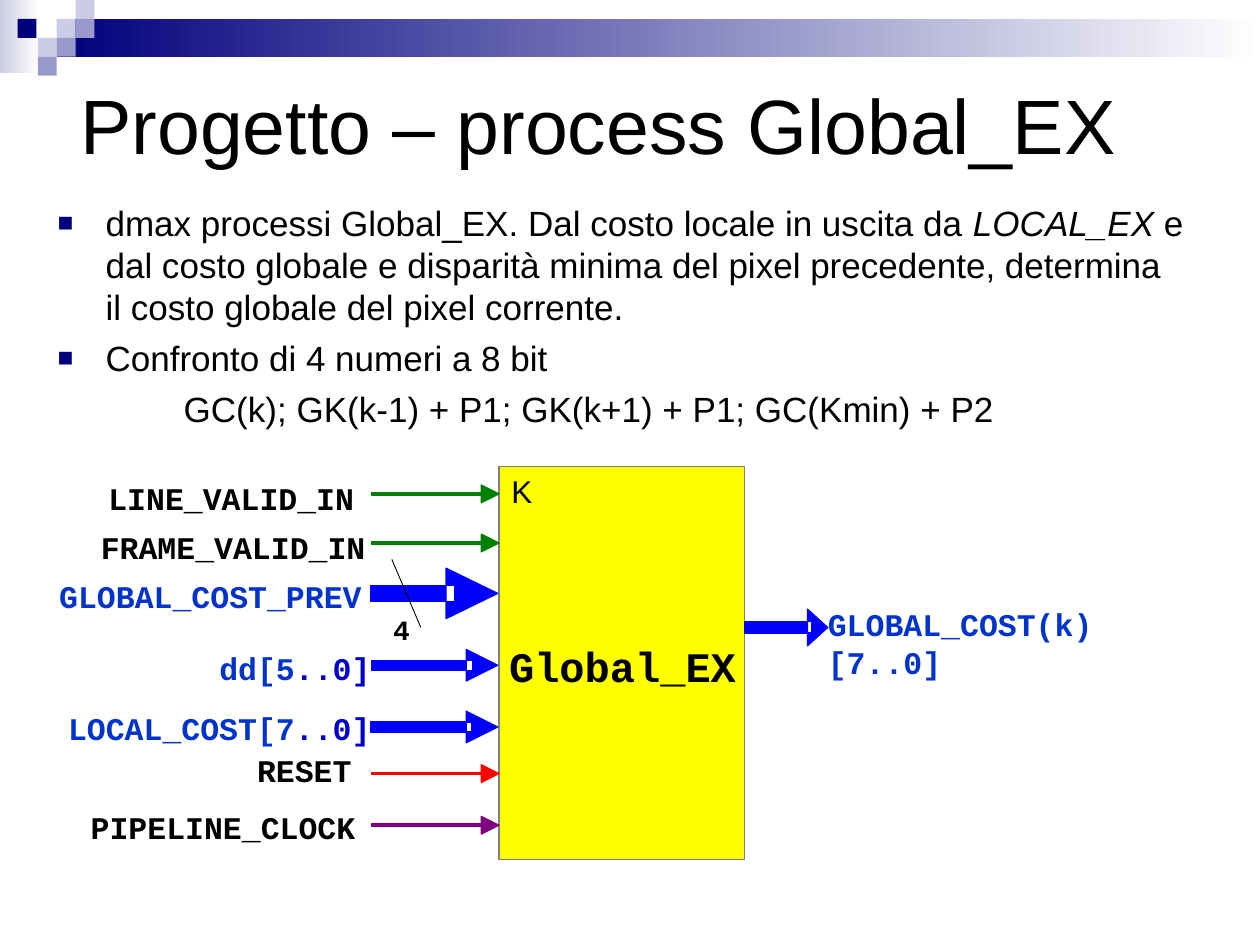
import pptx
import pptx.util
import pptx.dml.color
import pptx.enum.shapes
import pptx.enum.text
import lxml.etree

Inches, Pt = pptx.util.Inches, pptx.util.Pt
Color = pptx.dml.color.RGBColor.from_string
RECTANGLE = pptx.enum.shapes.MSO_SHAPE.RECTANGLE
Anchor = pptx.enum.text.MSO_ANCHOR

theme = {
    "sans": "Arial", "mono": "Courier New",
    "title": 44, "body": 20, "label": 18, "block": 24, "count": 16,
    "black": "000000", "navy": "00007D", "violet": "9999CC", "lilac": "CCCCE6",
    "white": "FFFFFF", "yellow": "FFFF00", "gray": "808080", "blue": "0000FF",
    "green": "008000", "red": "FF0000", "purple": "800080",
    "name": "0033CC", "range": "0000CC",
}

deck = pptx.Presentation()
deck.slide_width, deck.slide_height = Inches(10), Inches(7.5)
page = deck.slides.add_slide(deck.slide_layouts[6])


def add_text(para, text, size, font, color="black", bold=False, italic=False):
    span = para.add_run()
    span.text = text
    span.font.size = Pt(theme[size])
    span.font.name = theme[font]
    span.font.color.rgb = Color(theme[color])
    span.font.bold, span.font.italic = bold, italic


def add_arrow(left, middle, tip, shaft, head_length, head_height, overlap, color):
    """Shaft and triangular head as two contours of one outline."""
    neck = tip - head_length
    top, bottom = middle - shaft / 2, middle + shaft / 2
    shaft_end = neck + overlap
    contours = [
        [(left, top), (shaft_end, top), (shaft_end, bottom), (left, bottom)],
        [(neck, middle - head_height / 2), (tip, middle), (neck, middle + head_height / 2)],
    ]
    points = [[(Inches(x), Inches(y)) for x, y in contour] for contour in contours]
    builder = page.shapes.build_freeform(*points[0][0])
    builder.add_line_segments(points[0][1:], close=True)
    builder.move_to(*points[1][0])
    builder.add_line_segments(points[1][1:], close=True)
    arrow = builder.convert_to_shape()
    arrow.shadow.inherit = False
    arrow.fill.solid()
    arrow.fill.fore_color.rgb = Color(theme[color])
    arrow.line.color.rgb = Color(theme[color])
    arrow.line.width = Pt(0)


# Header: two fading bands, then the mosaic of small squares
cell = 0.15
bands = [(0, 0, 0.31, 0.58, "lilac", True), (0.45, 0.15, 9.55, 0.3, "navy", True)]
squares = [(3, 1, "lilac"), (4, 0, "lilac"), (4, 1, "violet"), (2, 2, "lilac"),
           (0.93, 1, "navy"), (3, 2, "violet"), (2, 3, "violet")]
tiles = [(column * cell, row * cell, cell, cell, color, False) for column, row, color in squares]
for left, top, width, height, color, fades in bands + tiles:
    tile = page.shapes.add_shape(RECTANGLE, Inches(left), Inches(top), Inches(width), Inches(height))
    tile.shadow.inherit = False
    tile.line.fill.background()
    if fades:
        tile.fill.gradient()
        tile.fill.gradient_angle = 0
        for stop, shade in zip(tile.fill.gradient_stops, (color, "white")):
            stop.color.rgb = Color(theme[shade])
    else:
        tile.fill.solid()
        tile.fill.fore_color.rgb = Color(theme[color])

# Title
box = page.shapes.add_textbox(Inches(0.54), Inches(0.5), Inches(8.96), Inches(0.97))
box.text_frame.word_wrap = True
box.text_frame.vertical_anchor = Anchor.MIDDLE
add_text(box.text_frame.paragraphs[0], "Progetto – process Global_EX", "title", "sans")

# Body: (bulleted, [(text, italic)])
body = [
    (True, [("dmax processi Global_EX. Dal costo locale in uscita da ", False),
            ("LOCAL_EX", True),
            (" e dal costo globale e disparità minima del pixel precedente, "
             "determina il costo globale del pixel corrente.", False)]),
    (True, [("Confronto di 4 numeri a 8 bit", False)]),
    (False, [("GC(k); GK(k-1) + P1; GK(k+1) + P1; GC(Kmin) + P2", False)]),
]
box = page.shapes.add_textbox(Inches(0.36), Inches(1.55), Inches(9.14), Inches(2.05))
frame = box.text_frame
frame.word_wrap = True
for index, (bulleted, spans) in enumerate(body):
    para = frame.add_paragraph() if index else frame.paragraphs[0]
    para.space_before = Pt(5)
    for text, italic in spans:
        add_text(para, text, "body", "sans", italic=italic)
    properties = para._p.get_or_add_pPr()
    properties.set("marL", str(Inches(0.38 if bulleted else 1)))
    properties.set("indent", str(Inches(-0.38 if bulleted else 0)))
    if bulleted:
        bullet_color = lxml.etree.SubElement(properties, pptx.oxml.ns.qn("a:buClr"))
        lxml.etree.SubElement(bullet_color, pptx.oxml.ns.qn("a:srgbClr"), val=theme["navy"])
        lxml.etree.SubElement(properties, pptx.oxml.ns.qn("a:buSzPct"), val="75000")
        lxml.etree.SubElement(properties, pptx.oxml.ns.qn("a:buFont"), typeface=theme["sans"])
        lxml.etree.SubElement(properties, pptx.oxml.ns.qn("a:buChar"), char="■")

# Process block
block = page.shapes.add_shape(RECTANGLE, Inches(3.96), Inches(3.7), Inches(1.95), Inches(3.12))
block.shadow.inherit = False
block.fill.solid()
block.fill.fore_color.rgb = Color(theme["yellow"])
block.line.color.rgb = Color(theme["gray"])
block.line.width = Pt(0)
block.text_frame.vertical_anchor = Anchor.TOP
para = block.text_frame.paragraphs[0]
para.alignment = pptx.enum.text.PP_ALIGN.LEFT
add_text(para, "K", "label", "sans")

# Arrows: left, middle, tip, shaft, head length, head height, overlap, color
signals = [(3.92, "green"), (4.31, "green"), (6.14, "red"), (6.55, "purple")]
for middle, color in signals:
    add_arrow(2.95, middle, 3.96, 0.02, 0.14, 0.14, 0.01, color)
buses = [(2.94, 4.71, 3.95, 0.13, 0.41, 0.4, 0.07), (2.95, 5.28, 3.95, 0.08, 0.25, 0.25, 0.05),
         (2.94, 5.77, 3.95, 0.08, 0.25, 0.25, 0.04), (5.91, 4.98, 6.57, 0.09, 0.16, 0.29, 0.03)]
for bus in buses:
    add_arrow(*bus, "blue")

# Slash marking the bus width
slash = page.shapes.add_connector(pptx.enum.shapes.MSO_CONNECTOR.STRAIGHT,
                                  Inches(3.11), Inches(4.44), Inches(3.34), Inches(4.98))
slash.line.color.rgb = Color(theme["black"])
slash.line.width = Pt(0.5)
lxml.etree.SubElement(slash._element.spPr, pptx.oxml.ns.qn("a:effectLst"))

# Labels: left, top, width, height, size, wraps, [(text, color)]
labels = [
    (0.86, 3.8, 1.98, 0.3, "label", False, [("LINE_VALID_IN", "black")]),
    (0.8, 4.19, 2.13, 0.3, "label", False, [("FRAME_VALID_IN", "black")]),
    (0.47, 4.58, 2.43, 0.3, "label", False, [("GLOBAL_COST_PREV", "name")]),
    (3.12, 4.86, 0.15, 0.27, "count", False, [("4", "black")]),
    (1.74, 5.15, 1.22, 0.3, "label", False, [("dd[5", "name"), ("..0]", "range")]),
    (0.54, 5.63, 2.43, 0.3, "label", False, [("LOCAL_COST[7", "name"), ("..0]", "range")]),
    (2.04, 5.96, 0.77, 0.3, "label", False, [("RESET", "black")]),
    (0.72, 6.41, 2.13, 0.3, "label", False, [("PIPELINE_CLOCK", "black")]),
    (4.04, 5.08, 1.82, 0.4, "block", False, [("Global_EX", "black")]),
    (6.57, 4.8, 2.98, 0.6, "label", True, [("GLOBAL_COST(k)[7..0]", "name")]),
]
for left, top, width, height, size, wraps, spans in labels:
    box = page.shapes.add_textbox(Inches(left), Inches(top), Inches(width), Inches(height))
    frame = box.text_frame
    frame.margin_left = frame.margin_right = frame.margin_top = frame.margin_bottom = 0
    frame.word_wrap = wraps
    frame.auto_size = pptx.enum.text.MSO_AUTO_SIZE.SHAPE_TO_FIT_TEXT
    for text, color in spans:
        add_text(frame.paragraphs[0], text, size, "mono", color, bold=True)

deck.save("out.pptx")
